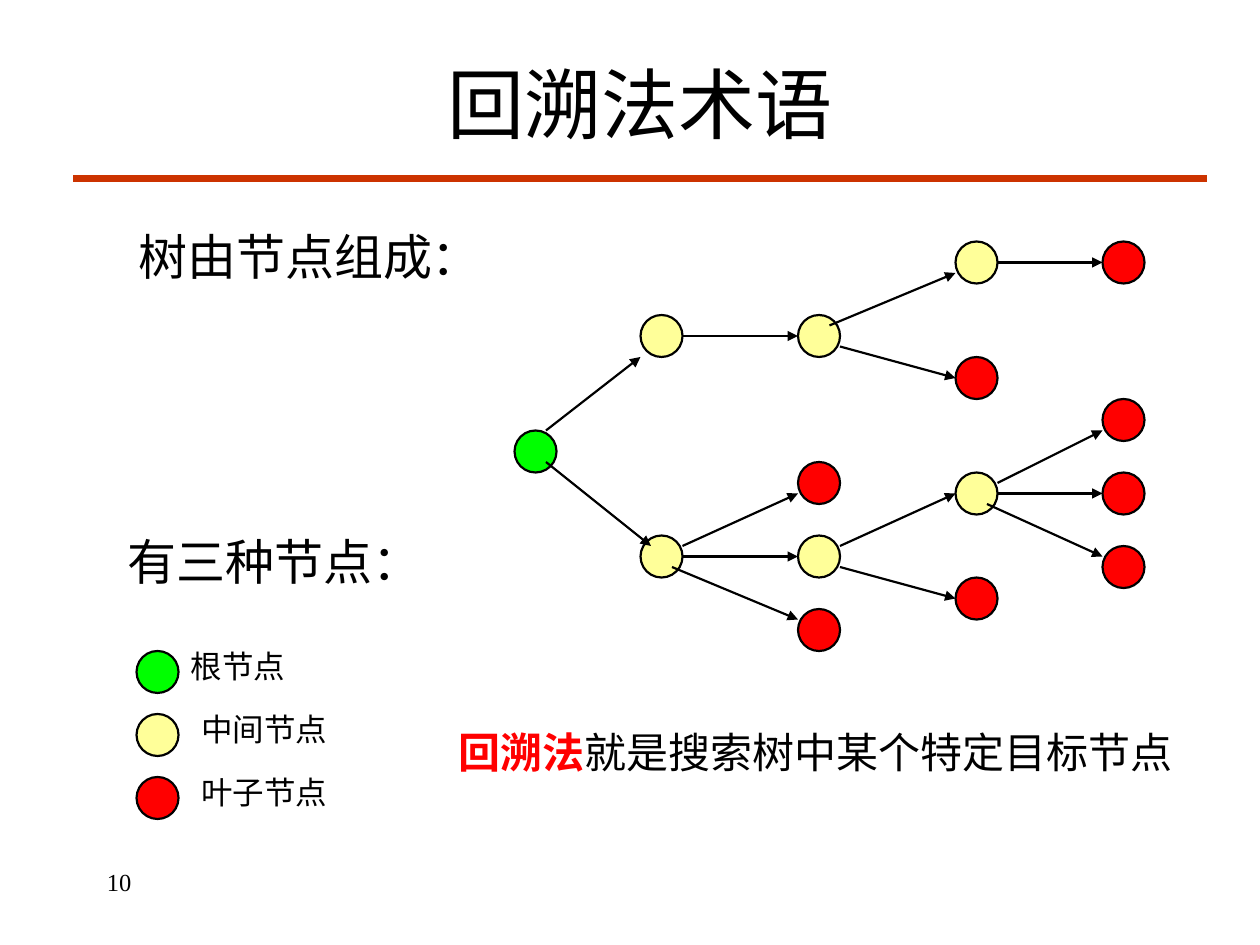
from dataclasses import dataclass

from lxml import etree
from pptx import Presentation
from pptx.dml.color import RGBColor
from pptx.enum.shapes import MSO_CONNECTOR, MSO_SHAPE
from pptx.enum.text import MSO_ANCHOR, MSO_AUTO_SIZE, PP_ALIGN
from pptx.oxml.ns import qn
from pptx.util import Emu, Pt

STRAIGHT, OVAL = MSO_CONNECTOR.STRAIGHT, MSO_SHAPE.OVAL
TOP, MIDDLE = MSO_ANCHOR.TOP, MSO_ANCHOR.MIDDLE
LEFT, CENTER = PP_ALIGN.LEFT, PP_ALIGN.CENTER
GROW, FIXED = MSO_AUTO_SIZE.SHAPE_TO_FIT_TEXT, MSO_AUTO_SIZE.NONE

FONT = "Times New Roman"
BLACK, GREEN, YELLOW, RED, RUST = "000000", "00FF00", "FFFF99", "FF0000", "CC3300"
NODE_SIZE = 32
LINE_WIDTH = 1.25


def px(n: int) -> Emu:
    """Lengths are in px, 96 to the inch."""
    return Emu(n * 9525)


def rgb(color: str) -> RGBColor:
    return RGBColor.from_string(color)


@dataclass
class Node:
    x: int
    y: int
    color: str


@dataclass
class Arrow:
    x1: int
    y1: int
    x2: int
    y2: int


@dataclass
class Run:
    text: str
    color: str = BLACK
    bold: bool = False


@dataclass
class Label:
    x: int
    y: int
    w: int
    h: int
    size: int
    runs: list[Run]
    align: PP_ALIGN = LEFT
    anchor: MSO_ANCHOR = TOP
    fit: MSO_AUTO_SIZE = GROW


@dataclass
class LegendEntry:
    color: str
    text: str
    x: int
    w: int


TREE_NODES = [
    Node(392, 328, GREEN),
    *(Node(488, y, YELLOW) for y in (240, 408)),
    *(Node(608, y, YELLOW) for y in (240, 408)),
    *(Node(608, y, RED) for y in (352, 464)),
    *(Node(728, y, YELLOW) for y in (184, 360)),
    *(Node(728, y, RED) for y in (272, 440)),
    *(Node(840, y, RED) for y in (184, 304, 360, 416)),
]

TREE_ARROWS = [
    Arrow(416, 352, 496, 416),
    Arrow(416, 328, 488, 272),
    Arrow(520, 256, 608, 256),
    Arrow(632, 248, 728, 208),
    Arrow(640, 264, 728, 288),
    Arrow(760, 200, 840, 200),
    Arrow(520, 416, 608, 376),
    Arrow(520, 424, 608, 424),
    Arrow(512, 432, 608, 472),
    Arrow(640, 416, 728, 376),
    Arrow(640, 432, 728, 456),
    Arrow(760, 368, 840, 328),
    Arrow(760, 376, 840, 376),
    Arrow(752, 384, 840, 424),
]

LABELS = [
    Label(72, 656, 200, 48, 14, [Run("10")], fit=FIXED),
    Label(80, 18, 816, 120, 44, [Run("回溯法术语")], CENTER, MIDDLE, FIXED),
    Label(88, 400, 312, 55, 28, [Run("有三种节点：")]),
    Label(96, 168, 400, 55, 28, [Run("树由节点组成：")]),
    Label(340, 549, 565, 48, 24,
          [Run("回溯法", RED, True), Run("就是搜索树中某个特定目标节点")]),
]

LEGEND_X, LEGEND_Y, LEGEND_STEP = 104, 496, 48
LEGEND = [
    LegendEntry(GREEN, "根节点", 136, 392),
    LegendEntry(YELLOW, "中间节点", 144, 400),
    LegendEntry(RED, "叶子节点", 144, 248),
]


def add_line(shapes, a: Arrow, color: str, width: float, arrowhead: bool) -> None:
    s = shapes.add_connector(STRAIGHT, px(a.x1), px(a.y1), px(a.x2), px(a.y2))
    s.line.color.rgb = rgb(color)
    s.line.width = Pt(width)
    if arrowhead:
        etree.SubElement(s.line._get_or_add_ln(), qn("a:tailEnd"), type="triangle")
    etree.SubElement(s._element.spPr, qn("a:effectLst"))


def add_node(shapes, node: Node) -> None:
    sp = shapes.add_shape(OVAL, px(node.x), px(node.y), px(NODE_SIZE), px(NODE_SIZE))
    sp.shadow.inherit = False
    sp.fill.solid()
    sp.fill.fore_color.rgb = rgb(node.color)
    sp.line.color.rgb = rgb(BLACK)
    sp.line.width = Pt(LINE_WIDTH)


def add_label(shapes, label: Label) -> None:
    box = shapes.add_textbox(px(label.x), px(label.y), px(label.w), px(label.h))
    tf = box.text_frame
    frame = {"word_wrap": True, "auto_size": label.fit, "vertical_anchor": label.anchor}
    for name, value in frame.items():
        setattr(tf, name, value)
    p = tf.paragraphs[0]
    p.alignment = label.align
    for run in label.runs:
        r = p.add_run()
        r.text = run.text
        font = {"name": FONT, "size": Pt(label.size), "bold": run.bold}
        for name, value in font.items():
            setattr(r.font, name, value)
        r.font.color.rgb = rgb(run.color)


def main() -> None:
    prs = Presentation()
    prs.slide_width, prs.slide_height = px(960), px(720)
    s = prs.slides.add_slide(prs.slide_layouts[6])

    add_line(s.shapes, Arrow(56, 136, 920, 136), RUST, 4.5, False)

    tree = s.shapes.add_group_shape().shapes
    for node in TREE_NODES:
        add_node(tree, node)
    for arrow in TREE_ARROWS:
        add_line(tree, arrow, BLACK, LINE_WIDTH, True)

    for label in LABELS:
        add_label(s.shapes, label)

    for i, entry in enumerate(LEGEND):
        y = LEGEND_Y + i * LEGEND_STEP
        group = s.shapes.add_group_shape().shapes
        add_node(group, Node(LEGEND_X, y, entry.color))
        add_label(group, Label(entry.x, y - 8, entry.w, 38, 18, [Run(entry.text)]))

    prs.save("out.pptx")


if __name__ == "__main__":
    main()
